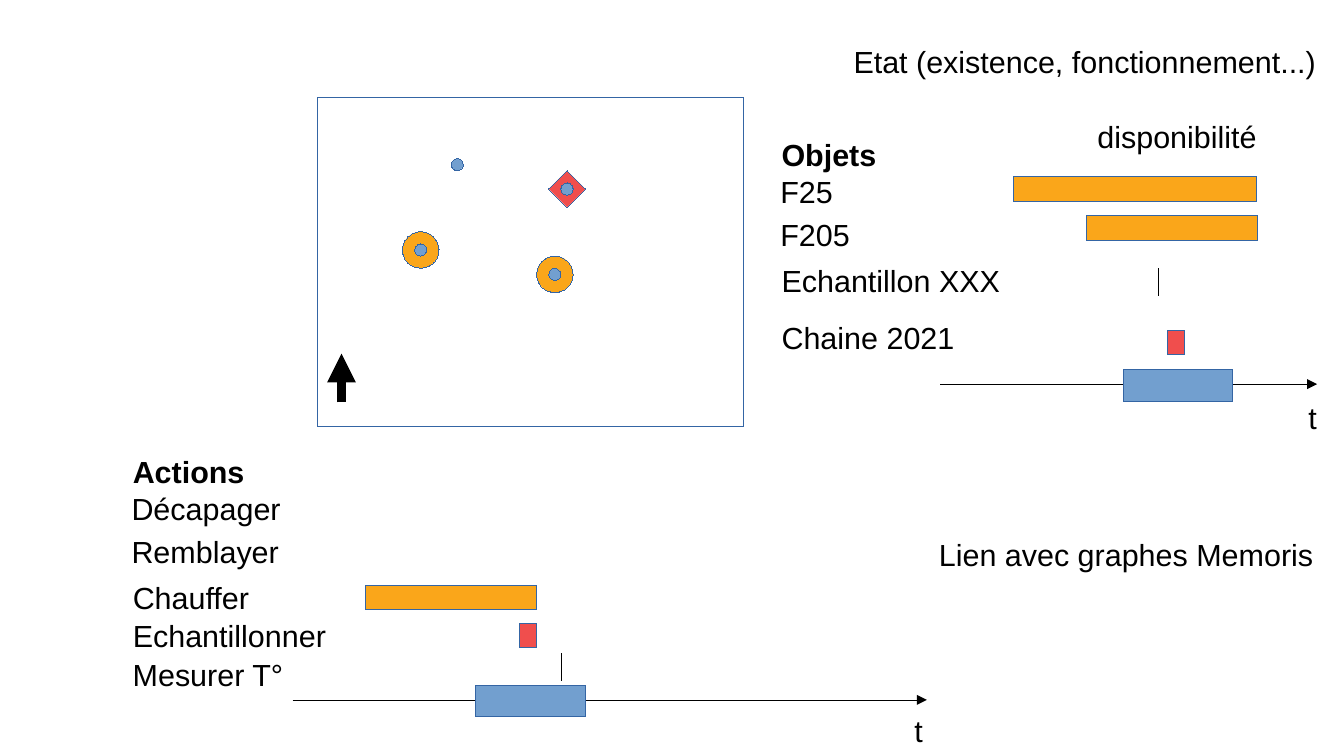
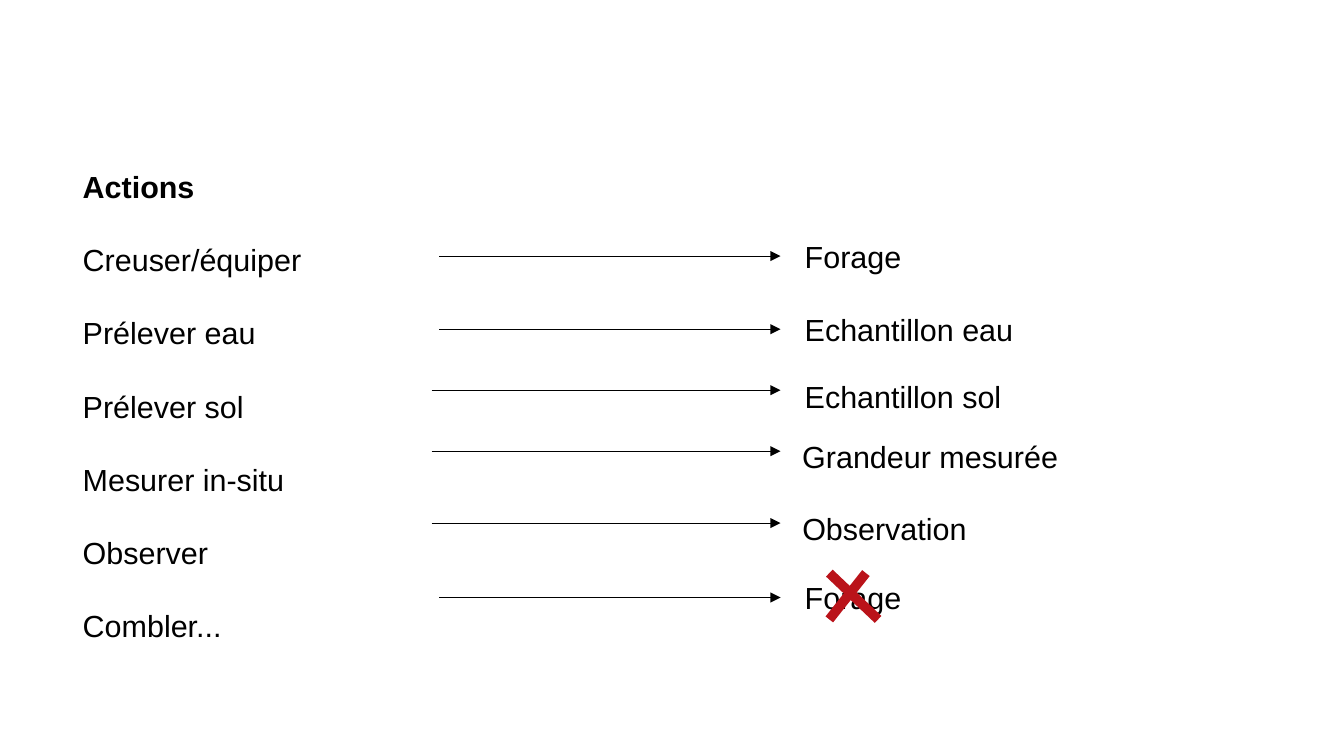
import pptx
import pptx.util
import pptx.dml.color
import pptx.enum.shapes
import pptx.enum.text
import pptx.oxml
import pptx.oxml.ns

Inches = pptx.util.Inches
Pt = pptx.util.Pt
Shapes = pptx.enum.shapes.MSO_SHAPE


def color(value):
    return pptx.dml.color.RGBColor.from_string(value)


class Deck:
    FONT = "Arial"
    SIZE = 18
    BLACK = "000000"
    OUTLINE = "3465A4"
    BLUE = "729FCF"
    ORANGE = "FAA61A"
    RED = "F04E4D"
    CROSS = "BA131A"
    BAR_HEIGHT = 0.2
    LABEL_HEIGHT = 0.38
    LABEL_SLACK = 0.1
    HAIRLINE = 0.01
    THICK = 5.67

    def __init__(self, width, height):
        self.presentation = pptx.Presentation()
        self.presentation.slide_width = Inches(width)
        self.presentation.slide_height = Inches(height)
        self.slide = None

    def new_slide(self):
        blank = self.presentation.slide_layouts[6]
        self.slide = self.presentation.slides.add_slide(blank)

    def shape(self, kind, left, top, width, height, fill=None):
        shape = self.slide.shapes.add_shape(
            kind, Inches(left), Inches(top), Inches(width), Inches(height))
        shape.shadow.inherit = False
        if fill:
            shape.fill.solid()
            shape.fill.fore_color.rgb = color(fill)
        else:
            shape.fill.background()
        shape.line.color.rgb = color(self.OUTLINE)
        shape.line.width = Pt(self.HAIRLINE)

    def bar(self, left, top, width, fill):
        self.shape(Shapes.RECTANGLE, left, top, width, self.BAR_HEIGHT, fill)

    def text(self, lines, left, top, width, height=LABEL_HEIGHT,
             bold_first=False, space_after=0):
        box = self.slide.shapes.add_textbox(
            Inches(left), Inches(top),
            Inches(width + self.LABEL_SLACK), Inches(height))
        frame = box.text_frame
        frame.word_wrap = True
        frame.auto_size = pptx.enum.text.MSO_AUTO_SIZE.SHAPE_TO_FIT_TEXT
        frame.text = lines
        for index, paragraph in enumerate(frame.paragraphs):
            paragraph.space_after = Pt(space_after)
            font = paragraph.runs[0].font
            font.name = self.FONT
            font.size = Pt(self.SIZE)
            font.bold = bold_first and index == 0
            font.color.rgb = color(self.BLACK)

    def line(self, x1, y1, x2, y2, stroke=BLACK, width=HAIRLINE, arrow=False):
        line = self.slide.shapes.add_connector(
            pptx.enum.shapes.MSO_CONNECTOR.STRAIGHT,
            Inches(x1), Inches(y1), Inches(x2), Inches(y2))
        line.line.color.rgb = color(stroke)
        line.line.width = Pt(width)
        if arrow:
            outline = line.line._get_or_add_ln()
            head = pptx.oxml.parse_xml(
                "<a:tailEnd %s type='triangle'/>" % pptx.oxml.ns.nsdecls("a"))
            outline.append(head)
        effects = pptx.oxml.parse_xml(
            "<a:effectLst %s/>" % pptx.oxml.ns.nsdecls("a"))
        line._element.spPr.append(effects)

    def timeline(self, start, end, y, period_left, t_left, t_top):
        self.line(start, y, end, y, arrow=True)
        self.text("t", t_left, t_top, 0.27)
        self.shape(Shapes.RECTANGLE, period_left, y - 0.12, 0.9, 0.26, self.BLUE)

    def measurement(self, x, top):
        self.line(x, top, x, top + 0.22)


def build_site_map(deck):
    deck.shape(Shapes.DIAMOND, 4.5, 1.4, 0.3, 0.3, deck.RED)
    for left, top in [(3.3, 1.9), (4.4, 2.1)]:
        deck.shape(Shapes.OVAL, left, top, 0.3, 0.3, deck.ORANGE)
    deck.shape(Shapes.RECTANGLE, 2.6, 0.8, 3.5, 2.7)
    for left, top in [(3.7, 1.3), (3.4, 2), (4.5, 2.2), (4.6, 1.5)]:
        deck.shape(Shapes.OVAL, left, top, 0.1, 0.1, deck.BLUE)
    deck.line(2.8, 3.3, 2.8, 2.9, width=deck.THICK, arrow=True)


def build_action_chart(deck):
    deck.timeline(2.4, 7.6, 5.74, 3.9, 7.4, 5.79)
    deck.text("Actions", 0.99, 3.67, 1.11, bold_first=True)
    for action, left, top, width in [
            ("Décapager", 0.98, 3.97, 1.42),
            ("Remblayer", 0.98, 4.32, 1.41),
            ("Chauffer", 0.99, 4.7, 1.15),
            ("Echantillonner", 0.99, 5.01, 1.78),
            ("Mesurer T°", 0.99, 5.33, 1.43)]:
        deck.text(action, left, top, width)
    deck.bar(3, 4.8, 1.4, deck.ORANGE)
    deck.bar(4.26, 5.11, 0.14, deck.RED)
    deck.measurement(4.6, 5.36)
    deck.text("Lien avec graphes Memoris", 7.6, 4.35, 3.3, 0.66)


def build_object_chart(deck):
    deck.timeline(7.71, 10.8, 3.15, 9.21, 10.63, 3.22)
    deck.text("Objets", 6.31, 1.07, 0.98, bold_first=True)
    for label, left, top, width in [
            ("F25", 6.3, 1.37, 0.63),
            ("F205", 6.3, 1.72, 0.77),
            ("Echantillon XXX", 6.31, 2.1, 1.99),
            ("Chaine 2021", 6.31, 2.57, 1.62),
            ("Etat (existence, fonctionnement...)", 6.9, 0.3, 3.99),
            ("disponibilité", 8.9, 0.92, 1.5)]:
        deck.text(label, left, top, width)
    deck.bar(8.31, 1.45, 1.99, deck.ORANGE)
    deck.bar(8.91, 1.77, 1.4, deck.ORANGE)
    deck.bar(9.57, 2.71, 0.14, deck.RED)
    deck.measurement(9.5, 2.2)


def build_action_results(deck):
    actions = ["Actions", "Creuser/équiper", "Prélever eau", "Prélever sol",
               "Mesurer in-situ", "Observer", "Combler..."]
    deck.text("\n".join(actions), 0.58, 1.33, 1.99, 3.74,
              bold_first=True, space_after=21.6)
    for result, left, top, width, arrow_start, arrow_y in [
            ("Forage", 6.5, 1.9, 0.99, 3.6, 2.1),
            ("Echantillon eau", 6.5, 2.5, 1.91, 3.6, 2.7),
            ("Echantillon sol", 6.5, 3.05, 1.81, 3.54, 3.2),
            ("Grandeur mesurée", 6.48, 3.54, 2.3, 3.54, 3.7),
            ("Observation", 6.48, 4.13, 1.55, 3.54, 4.29),
            ("Forage", 6.5, 4.7, 0.99, 3.6, 4.9)]:
        deck.line(arrow_start, arrow_y, 6.4, arrow_y, arrow=True)
        deck.text(result, left, top, width)
    for start, end in [(6.8, 7.2), (7.1, 6.8)]:
        deck.line(start, 4.7, end, 5.08, deck.CROSS, deck.THICK)


def main():
    deck = Deck(11.02, 6.2)
    deck.new_slide()
    build_site_map(deck)
    build_action_chart(deck)
    build_object_chart(deck)
    deck.new_slide()
    build_action_results(deck)
    deck.presentation.save("out.pptx")


if __name__ == "__main__":
    main()
